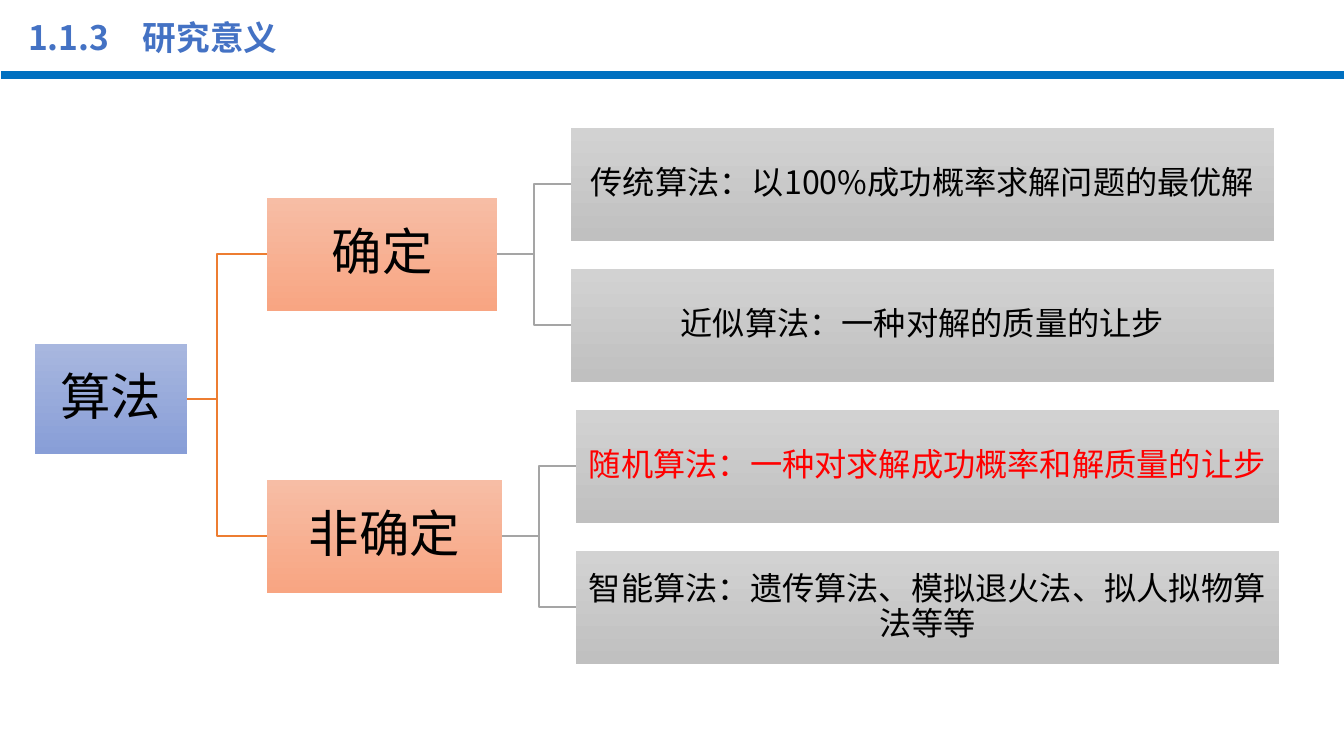
from lxml.etree import SubElement
from pptx import Presentation
from pptx.dml.color import RGBColor
from pptx.enum.shapes import MSO_SHAPE as Shape
from pptx.enum.text import MSO_ANCHOR as Anchor, MSO_AUTO_SIZE as AutoSize, PP_ALIGN as Align
from pptx.oxml.ns import qn
from pptx.util import Inches, Pt

PX = 9071  # EMU per pixel
FONT = "Noto Sans CJK SC"

BLACK = RGBColor(0x00, 0x00, 0x00)
WHITE = RGBColor(0xFF, 0xFF, 0xFF)
RED = RGBColor(0xFF, 0x00, 0x00)
TITLE_BLUE = RGBColor(0x44, 0x72, 0xC4)
BAR_BLUE = RGBColor(0x00, 0x70, 0xC0)
ORANGE = RGBColor(0xED, 0x7D, 0x31)
GRAY = RGBColor(0xA5, 0xA5, 0xA5)
BLUE_FADE = (RGBColor(0xA8, 0xB7, 0xDF), RGBColor(0x88, 0x9E, 0xD7))
ORANGE_FADE = (RGBColor(0xF7, 0xBD, 0xA5), RGBColor(0xF8, 0xA5, 0x82))
GRAY_FADE = (RGBColor(0xD2, 0xD2, 0xD2), RGBColor(0xC0, 0xC0, 0xC0))

# Tree layout in px
NODE_HEIGHT = 113
LEAF_TOP, LEAF_PITCH, LEAF_WIDTH = 128, 141, 703
ROOT_BOX = (35, 344, 152, 110)
BRANCH_LEFT, ROOT_TURN = 267, 217

# Branch: text, width, left edge of its leaves, leaves with text colour
BRANCHES = [
    ("确定", 230, 571, [("传统算法：以100%成功概率求解问题的最优解", BLACK),
                      ("近似算法：一种对解的质量的让步", BLACK)]),
    ("非确定", 235, 576, [("随机算法：一种对求解成功概率和解质量的让步", RED),
                       ("智能算法：遗传算法、模拟退火法、拟人拟物算法等等", BLACK)]),
]


def to_emu(*lengths):
    return [length * PX for length in lengths]


def write(shape, text, size, color, align, spacing, bold=False):
    paragraph = shape.text_frame.paragraphs[0]
    paragraph.alignment = align
    paragraph.line_spacing = spacing
    run = paragraph.add_run()
    run.text = text
    for name, value in {"name": FONT, "size": Pt(size), "bold": bold}.items():
        setattr(run.font, name, value)
    run.font.color.rgb = color
    SubElement(run.font._element, qn("a:ea"), typeface=FONT)


def format_frame(shape, inset, anchor):
    formats = {
        "word_wrap": True, "auto_size": AutoSize.NONE, "vertical_anchor": anchor,
        "margin_left": inset * PX, "margin_right": inset * PX,
        "margin_top": inset * PX, "margin_bottom": inset * PX,
    }
    for name, value in formats.items():
        setattr(shape.text_frame, name, value)


def add_title(slide, text):
    title = slide.shapes.title
    title.left, title.top, title.width, title.height = to_emu(18, 10, 914, 55)
    format_frame(title, 7, Anchor.TOP)
    title.text_frame.margin_left = 10 * PX
    write(title, text, 24, TITLE_BLUE, Align.LEFT, 1.0, bold=True)


def add_bar(slide):
    bar = slide.shapes.add_shape(Shape.RECTANGLE, *to_emu(0, 70, 1344, 9))
    bar.shadow.inherit = False
    bar.fill.solid()
    bar.fill.fore_color.rgb = BAR_BLUE
    bar.line.color.rgb = WHITE
    bar.line.width = Pt(0.25)


def add_node(slide, box, fade, text, size, inset, color=BLACK):
    node = slide.shapes.add_shape(Shape.RECTANGLE, *to_emu(*box))
    node.shadow.inherit = False
    node.fill.gradient()
    node.fill.gradient_angle = 270
    for stop, stop_color in zip(node.fill.gradient_stops, fade):
        stop.color.rgb = stop_color
    node.line.fill.background()
    format_frame(node, inset, Anchor.MIDDLE)
    write(node, text, size, color, Align.CENTER, 0.9)


def add_elbow(slide, start, turn, end, color):
    builder = slide.shapes.build_freeform(*start, scale=PX)
    builder.add_line_segments([(turn, start[1]), (turn, end[1]), end], close=False)
    elbow = builder.convert_to_shape()
    elbow.shadow.inherit = False
    elbow.fill.background()
    elbow.line.color.rgb = color
    elbow.line.width = Pt(1)


def add_tree(slide):
    root_left, root_top, root_width, root_height = ROOT_BOX
    root_exit = (root_left + root_width, root_top + root_height // 2)
    add_node(slide, ROOT_BOX, BLUE_FADE, "算法", 36, 3)

    leaf_top = LEAF_TOP
    for text, width, leaf_left, leaves in BRANCHES:
        # Each branch is centred on its pair of leaves
        branch_top = leaf_top + LEAF_PITCH // 2
        branch_middle = branch_top + NODE_HEIGHT // 2
        branch_right = BRANCH_LEFT + width
        add_elbow(slide, root_exit, ROOT_TURN, (BRANCH_LEFT, branch_middle), ORANGE)
        add_node(slide, (BRANCH_LEFT, branch_top, width, NODE_HEIGHT),
                 ORANGE_FADE, text, 36, 3)

        for leaf_text, color in leaves:
            add_elbow(slide, (branch_right, branch_middle), (branch_right + leaf_left) // 2,
                      (leaf_left, leaf_top + NODE_HEIGHT // 2), GRAY)
            add_node(slide, (leaf_left, leaf_top, LEAF_WIDTH, NODE_HEIGHT),
                     GRAY_FADE, leaf_text, 23, 2, color)
            leaf_top += LEAF_PITCH


def main():
    presentation = Presentation()
    presentation.slide_width = Inches(13.33)
    presentation.slide_height = Inches(7.5)
    slide = presentation.slides.add_slide(presentation.slide_layouts[5])

    # Header
    add_bar(slide)
    add_title(slide, "1.1.3　研究意义")

    # Classification of algorithms
    add_tree(slide)
    presentation.save("out.pptx")


if __name__ == "__main__":
    main()
